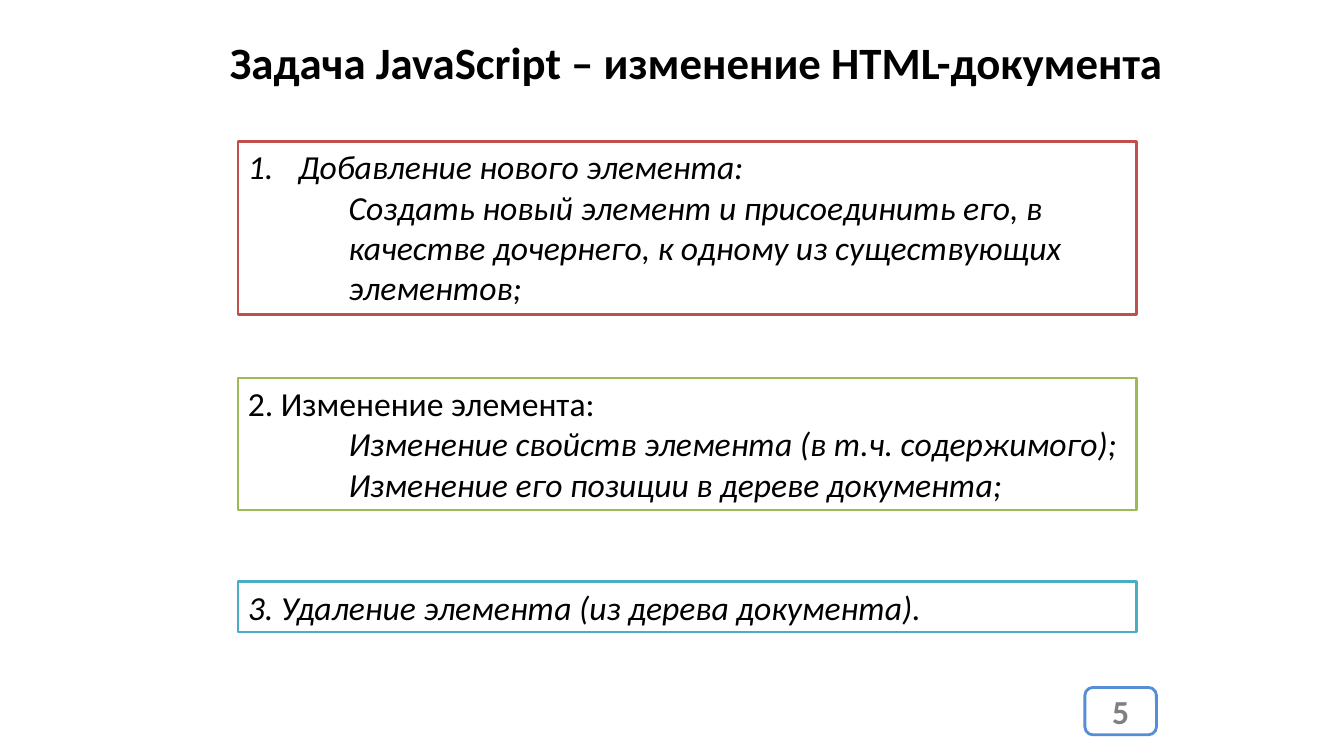
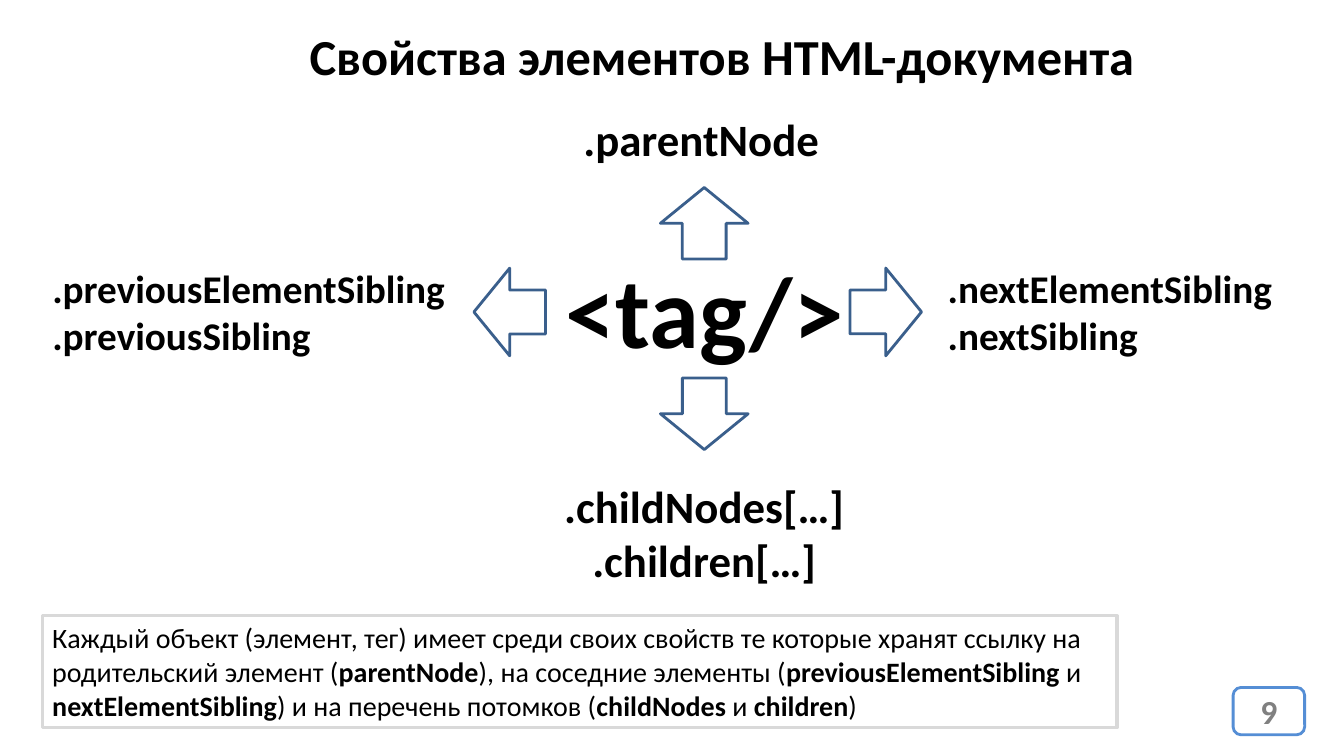
from lxml import etree
from pptx import Presentation
from pptx.dml.color import RGBColor
from pptx.enum.shapes import MSO_SHAPE
from pptx.enum.text import MSO_ANCHOR, MSO_AUTO_SIZE, PP_ALIGN
from pptx.oxml.ns import qn
from pptx.util import Pt

PX = 9144
FONT = "Calibri"
TITLE_ONLY = 5

BLACK = RGBColor(0x00, 0x00, 0x00)
WHITE = RGBColor(0xFF, 0xFF, 0xFF)
GREY = RGBColor(0x80, 0x80, 0x80)
PALE_GREY = RGBColor(0xD9, 0xD9, 0xD9)
RED = RGBColor(0xC0, 0x50, 0x4D)
GREEN = RGBColor(0x9B, 0xBB, 0x59)
TEAL = RGBColor(0x4B, 0xAC, 0xC6)
BADGE_BLUE = RGBColor(0x55, 0x8E, 0xD5)
ARROW_BLUE = RGBColor(0x3A, 0x5F, 0x8C)

RECTANGLE = MSO_SHAPE.RECTANGLE
ROUNDED = MSO_SHAPE.ROUNDED_RECTANGLE
ARROW = MSO_SHAPE.RIGHT_ARROW
LEFT = PP_ALIGN.LEFT
CENTER = PP_ALIGN.CENTER
TOP = MSO_ANCHOR.TOP
MIDDLE = MSO_ANCHOR.MIDDLE
NO_AUTOFIT = MSO_AUTO_SIZE.NONE

TASKS = [
    (140, 172, RED, [
        ("Добавление нового элемента:", "number", True),
        ("Создать новый элемент и присоединить его, в качестве дочернего, "
         "к одному из существующих элементов;", "detail", True),
    ]),
    (375, 131, GREEN, [
        ("2. Изменение элемента:", "plain", False),
        ("Изменение свойств элемента (в т.ч. содержимого);", "detail", True),
        ("Изменение его позиции в дереве документа;", "detail", True),
    ]),
    (577, 50, TEAL, [
        ("3. Удаление элемента (из дерева документа).", "plain", True),
    ]),
]
INDENTS = {"plain": (0, 0), "number": (50, -50), "detail": (100, 0)}

NODE_LABELS = [
    ((507, 135, 299, 131), 72, CENTER, ["<tag/>"]),
    ((504, 0, 299, 64), 32, CENTER, [".parentNode"]),
    ((507, 364, 299, 118), 32, CENTER, [".childNodes[…]", ".children[…]"]),
    ((888, 151, 362, 104), 28, LEFT, [".nextElementSibling", ".nextSibling"]),
    ((0, 151, 425, 104), 28, LEFT,
     [".previousElementSibling", ".previousSibling"]),
]
NODE_ARROWS = [(801, 160, 0), (428, 160, 180), (621, 72, 270), (621, 261, 90)]

NOTE_PIECES = [
    "Каждый объект (элемент, тег) имеет среди своих свойств те которые "
    "хранят ссылку на родительский элемент (", "parentNode",
    "), на соседние элементы (", "previousElementSibling", " и ",
    "nextElementSibling", ") и на перечень потомков (", "childNodes ",
    "и ", "children", ")",
]


def emu(*lengths):
    """Turn px lengths into EMU."""
    return [length * PX for length in lengths]


def style(paragraph, size, color=BLACK, bold=False, italic=False, align=LEFT):
    """Set the look of a whole paragraph."""
    paragraph.alignment = align
    font = paragraph.font
    font.name, font.size = FONT, Pt(size)
    font.bold, font.italic = bold, italic
    font.color.rgb = color


def indent(paragraph, kind):
    """Indent a paragraph by its kind and number it where asked."""
    margin, first = emu(*INDENTS[kind])
    properties = paragraph._p.get_or_add_pPr()
    properties.set("marL", str(margin))
    properties.set("indent", str(first))
    if kind == "number":
        numbering = etree.SubElement(properties, qn("a:buAutoNum"))
        numbering.set("type", "arabicPeriod")
        properties.insert(0, numbering)


def next_paragraph(frame, index):
    """Return the first paragraph of a frame or a new one."""
    return frame.add_paragraph() if index else frame.paragraphs[0]


def add_outlined(slide, kind, box, line, width=2, fill=WHITE, anchor=TOP):
    """Add an outlined shape without a shadow."""
    outlined = slide.shapes.add_shape(kind, *emu(*box))
    outlined.shadow.inherit = False
    outlined.line.color.rgb = line
    outlined.line.width = Pt(width)
    if fill is None:
        outlined.fill.background()
    else:
        outlined.fill.solid()
        outlined.fill.fore_color.rgb = fill
    outlined.text_frame.word_wrap = True
    outlined.text_frame.vertical_anchor = anchor
    return outlined


def add_page(deck, title, title_box, size, number, badge_left):
    """Add a slide with its title and page number badge."""
    slide = deck.slides.add_slide(deck.slide_layouts[TITLE_ONLY])
    heading = slide.shapes.title
    heading.left, heading.top, heading.width, heading.height = emu(*title_box)
    frame = heading.text_frame
    frame.text = title
    frame.word_wrap = False
    frame.auto_size = NO_AUTOFIT
    frame.vertical_anchor = TOP
    style(frame.paragraphs[0], size, bold=True)

    badge = add_outlined(slide, ROUNDED, (badge_left, 682, 71, 47),
                         BADGE_BLUE, anchor=MIDDLE)
    badge.text_frame.text = str(number)
    style(badge.text_frame.paragraphs[0], 24, GREY, bold=True, align=CENTER)
    return slide


def add_task(slide, box, color, lines):
    """Add a framed task with its details."""
    frame = add_outlined(slide, RECTANGLE, box, color).text_frame
    for index, (text, kind, italic) in enumerate(lines):
        paragraph = next_paragraph(frame, index)
        paragraph.text = text
        style(paragraph, 24, italic=italic)
        indent(paragraph, kind)


def add_label(slide, box, size, align, lines):
    """Add a bold label of one or more lines."""
    frame = slide.shapes.add_textbox(*emu(*box)).text_frame
    frame.word_wrap = True
    for index, text in enumerate(lines):
        paragraph = next_paragraph(frame, index)
        paragraph.text = text
        style(paragraph, size, bold=True, align=align)


def add_node_diagram(slide, left, top):
    """Add the tag with its neighbours and the arrows to them."""
    for (x, y, width, height), size, align, lines in NODE_LABELS:
        add_label(slide, (left + x, top + y, width, height),
                  size, align, lines)
    for x, y, angle in NODE_ARROWS:
        arrow = add_outlined(slide, ARROW, (left + x, top + y, 71, 87),
                             ARROW_BLUE)
        arrow.rotation = angle


def add_note(slide, box):
    """Add the framed note with property names in bold."""
    note = add_outlined(slide, RECTANGLE, box, PALE_GREY, 2.25, fill=None)
    paragraph = note.text_frame.paragraphs[0]
    style(paragraph, 20)
    for index, piece in enumerate(NOTE_PIECES):
        run = paragraph.add_run()
        run.text = piece
        run.font.bold = index % 2 == 1


def build_tasks_slide(deck):
    """Build the slide on the tasks of JavaScript."""
    slide = add_page(deck, "Задача JavaScript – изменение HTML-документа",
                     (218, 29, 957, 64), 32, 5, 1076)
    for top, height, color, lines in TASKS:
        add_task(slide, (236, top, 891, height), color, lines)


def build_properties_slide(deck):
    """Build the slide on the properties of elements."""
    slide = add_page(deck, "Свойства элементов HTML-документа",
                     (297, 20, 849, 71), 36, 9, 1223)
    add_node_diagram(slide, 42, 106)
    add_note(slide, (42, 611, 1066, 111))


def main():
    """Build and save the presentation."""
    deck = Presentation()
    deck.slide_width, deck.slide_height = emu(1333, 750)
    build_tasks_slide(deck)
    build_properties_slide(deck)
    deck.save("out.pptx")


if __name__ == "__main__":
    main()
